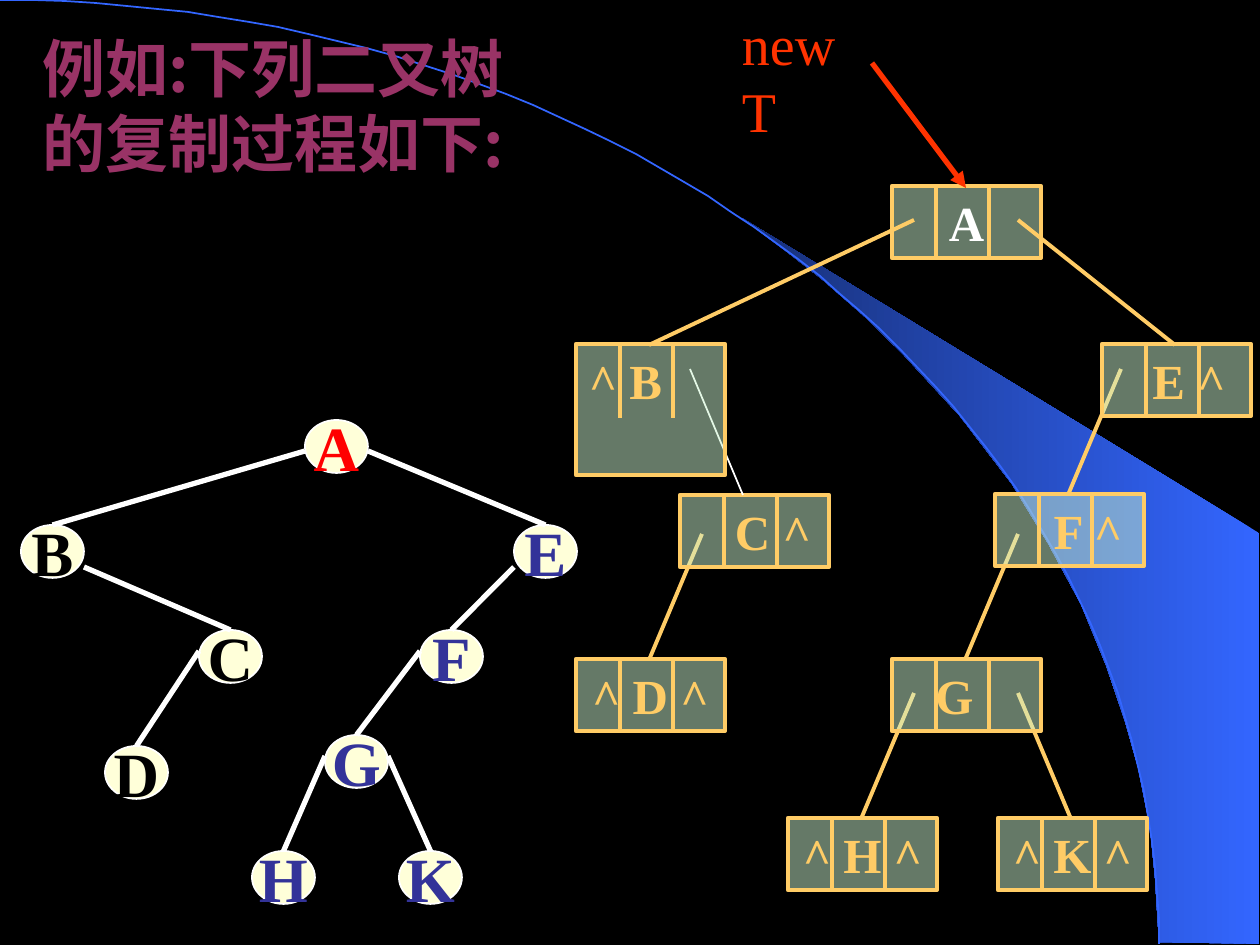
from pptx import Presentation
from pptx.dml.color import RGBColor
from pptx.enum.shapes import MSO_CONNECTOR, MSO_SHAPE
from pptx.enum.text import MSO_ANCHOR, PP_ALIGN
from pptx.oxml.ns import qn
from pptx.util import Pt
from lxml.etree import SubElement

EMU_PER_PX = 914400 / 126
SERIF, HAN = "Times New Roman", "Noto Sans CJK SC"
GOLD, WHITE, RED, BLACK, INDIGO = "FFCC66", "FFFFFF", "FF3300", "000000", "333399"

OVAL_W, OVAL_H = 63, 53
TREE_NODES = {  # letter: left, top, colour
    "A": (305, 420, "FF0000"), "B": (21, 525, BLACK), "C": (199, 630, BLACK),
    "D": (105, 746, BLACK), "E": (514, 525, INDIGO), "F": (420, 630, INDIGO),
    "G": (325, 735, INDIGO), "H": (252, 851, INDIGO), "K": (399, 851, INDIGO),
}
TREE_EDGES = [  # parent, child, drop from the parent's top
    ("A", "B", 31), ("B", "C", 42), ("C", "D", 21), ("A", "E", 31),
    ("E", "F", 42), ("F", "G", 21), ("G", "H", 21), ("G", "K", 21),
]

RECORD_W, RECORD_H = 149, 72
RECORDS = {  # letter: left, top, text, extra left inset, extra right inset
    "D": (576, 659, "^ D ^", 0, 0), "C": (680, 495, "C ^", 37, 0),
    "H": (788, 818, "^ H ^", 0, 0), "K": (998, 818, "^ K ^", 0, 0),
    "G": (892, 659, "G", 0, 24), "A": (892, 186, "A", 0, 0),
    "F": (995, 494, "F ^", 37, 0), "B": (576, 344, "^ B", 0, 50),
    "E": (1102, 344, "E ^", 37, 12),
}
LINKS = {  # child: parent, offset of the link's start in the parent
    "D": ("C", 22, 39), "C": ("B", 114, 25), "H": ("G", 22, 34),
    "K": ("G", 126, 34), "G": ("F", 23, 40), "F": ("E", 19, 25),
    "B": ("A", 22, 34), "E": ("A", 126, 34),
}

SWOOSH = [(1159, 942), (1259, 944), (1259, 533), (742, 218), (786, 251),
          (823, 280), (863, 315), (902, 353), (960, 416), (1012, 484),
          (1048, 543), (1081, 604), (1106, 665), (1125, 721), (1138, 767),
          (1150, 827), (1155, 877)]


def px(length):
    """Turn pixels into EMU."""
    return round(length * EMU_PER_PX)


def rgb(color):
    """Turn a hex string into a colour."""
    return RGBColor.from_string(color)


def write(shape, text, size, color, font=SERIF, bold=True, align=PP_ALIGN.CENTER,
          anchor=MSO_ANCHOR.TOP, wrap=True, left=13, right=13):
    """Put one formatted paragraph into a shape."""
    frame = shape.text_frame
    frame.word_wrap = wrap
    frame.vertical_anchor = anchor
    frame.margin_left, frame.margin_right = px(left), px(right)
    paragraph = frame.paragraphs[0]
    paragraph.alignment = align
    run = paragraph.add_run()
    run.text = text
    run.font.size, run.font.bold, run.font.name = Pt(size), bold, font
    run.font.color.rgb = rgb(color)
    SubElement(run._r.get_or_add_rPr(), qn("a:ea")).set("typeface", font)


def add_box(slide, kind, left, top, width, height, fill, line, weight, alpha=None):
    """Draw a preset shape with a plain fill and outline."""
    box = slide.shapes.add_shape(kind, px(left), px(top), px(width), px(height))
    box.shadow.inherit = False
    box.fill.solid()
    box.fill.fore_color.rgb = rgb(fill)
    box.line.color.rgb = rgb(line)
    box.line.width = Pt(weight)
    if alpha:
        color = box._element.spPr.find(qn("a:solidFill"))[0]
        SubElement(color, qn("a:alpha")).set("val", str(alpha * 1000))
    return box


def add_line(slide, start, end, color, weight, arrow=False):
    """Draw a straight line, with an arrowhead at its end if asked."""
    line = slide.shapes.add_connector(
        MSO_CONNECTOR.STRAIGHT, *(px(value) for value in (*start, *end)))
    line.line.color.rgb = rgb(color)
    line.line.width = Pt(weight)
    if arrow:
        SubElement(line.line._get_or_add_ln(), qn("a:tailEnd")).set("type", "triangle")
    SubElement(line._element.spPr, qn("a:effectLst"))


def add_outline(slide, points, close):
    """Draw a freeform through the points."""
    builder = slide.shapes.build_freeform(*points[0], scale=EMU_PER_PX)
    builder.add_line_segments(points[1:], close=close)
    outline = builder.convert_to_shape()
    outline.shadow.inherit = False
    return outline


def add_backdrop(slide):
    """Draw the black ground, the blue swoosh and the thin arc."""
    slide.background.fill.solid()
    slide.background.fill.fore_color.rgb = rgb(BLACK)
    swoosh = add_outline(slide, SWOOSH, True)
    swoosh.line.fill.background()
    swoosh.fill.gradient()
    swoosh.fill.gradient_angle = 180
    for stop, color in zip(swoosh.fill.gradient_stops, ("3366FF", "172F75")):
        stop.color.rgb = rgb(color)

    def bezier(t, *ends):
        return sum(c * (1 - t) ** (3 - i) * t ** i * end
                   for i, (c, end) in enumerate(zip((1, 3, 3, 1), ends)))

    steps = [i / 60 for i in range(61)]
    arc = add_outline(slide, [(bezier(t, 0, 640, 1159, 1159),
                               bezier(t, 0, 0, 422, 944)) for t in steps], False)
    arc.fill.background()
    arc.line.color.rgb = rgb("3366FF")
    arc.line.width = Pt(1)


def add_tree(slide):
    """Draw the source tree: ovals, then the edges between them."""
    for letter, (left, top, color) in TREE_NODES.items():
        oval = add_box(slide, MSO_SHAPE.OVAL, left, top, OVAL_W, OVAL_H,
                       "FFFFD9", WHITE, 1)
        write(oval, letter, 36, color, anchor=MSO_ANCHOR.MIDDLE, wrap=False)
    for parent, child, drop in TREE_EDGES:
        left, top, _ = TREE_NODES[parent]
        child_left, child_top, _ = TREE_NODES[child]
        side = left if child_left < left else left + OVAL_W
        add_line(slide, (side, top + drop),
                 (child_left + OVAL_W / 2, child_top), WHITE, 3)


def add_record(slide, letter):
    """Draw one three-part record and the link that leads to it."""
    left, top, text, extra_left, extra_right = RECORDS[letter]
    height = 131 if letter == "B" else RECORD_H
    record = add_box(slide, MSO_SHAPE.RECTANGLE, left, top, RECORD_W, height,
                     "CAF2CE", GOLD, 2.5, alpha=50)
    write(record, text, 28, WHITE if letter == "A" else GOLD,
          left=5 + extra_left, right=5 + extra_right)
    for offset in (44, 97):
        add_line(slide, (left + offset, top + 1), (left + offset, top + 74), GOLD, 2.25)
    if letter in LINKS:
        parent, dx, dy = LINKS[letter]
        start = (RECORDS[parent][0] + dx, RECORDS[parent][1] + dy)
        if letter == "C":
            add_line(slide, start, (left + 63, top), WHITE, 1)
        else:
            add_line(slide, start, (left + 73, top + 1), GOLD, 2.25)


def add_label(slide, left, top, width, height, text, **text_format):
    """Add a left-aligned text box."""
    label = slide.shapes.add_textbox(px(left), px(top), px(width), px(height))
    write(label, text, align=PP_ALIGN.LEFT, **text_format)


def main():
    """Build the slide and save it."""
    deck = Presentation()
    deck.slide_width, deck.slide_height = px(1260), px(945)
    slide = deck.slides.add_slide(deck.slide_layouts[6])
    add_backdrop(slide)
    add_tree(slide)
    for letter in RECORDS:
        add_record(slide, letter)
    add_line(slide, (872, 63), (966, 188), RED, 3, arrow=True)
    add_label(slide, 29, 23, 538, 164, "例如:下列二叉树的复制过程如下:",
              size=36, color="993366", font=HAN)
    add_label(slide, 729, 3, 152, 81, "newT",
              size=32, color=RED, bold=False, wrap=False)
    deck.save("out.pptx")


main()
